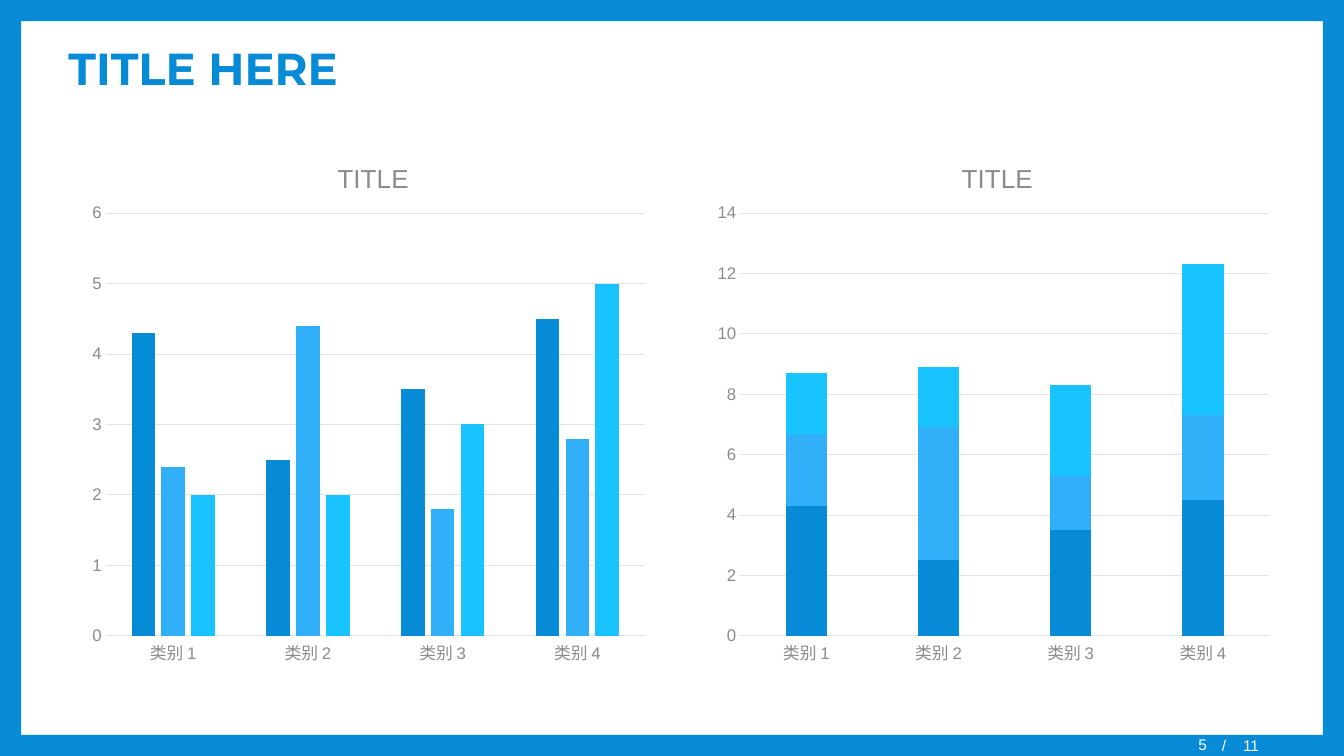
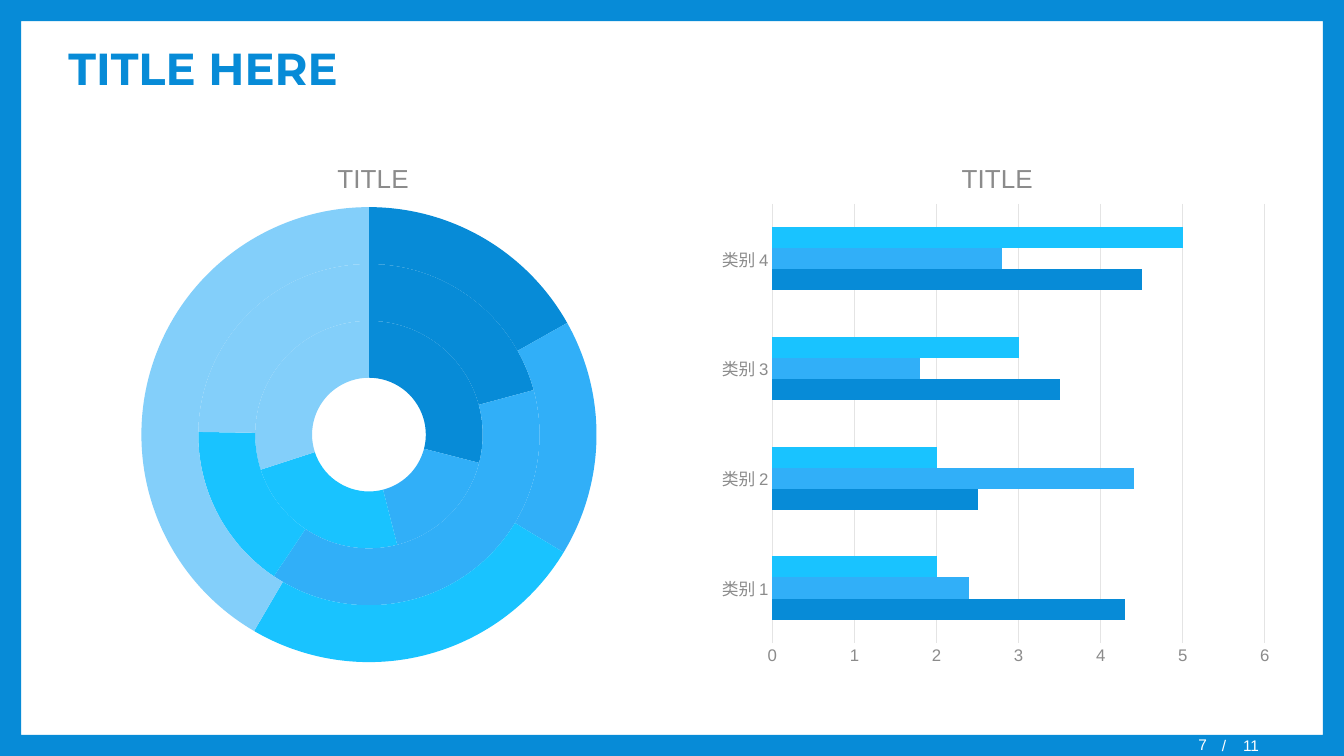
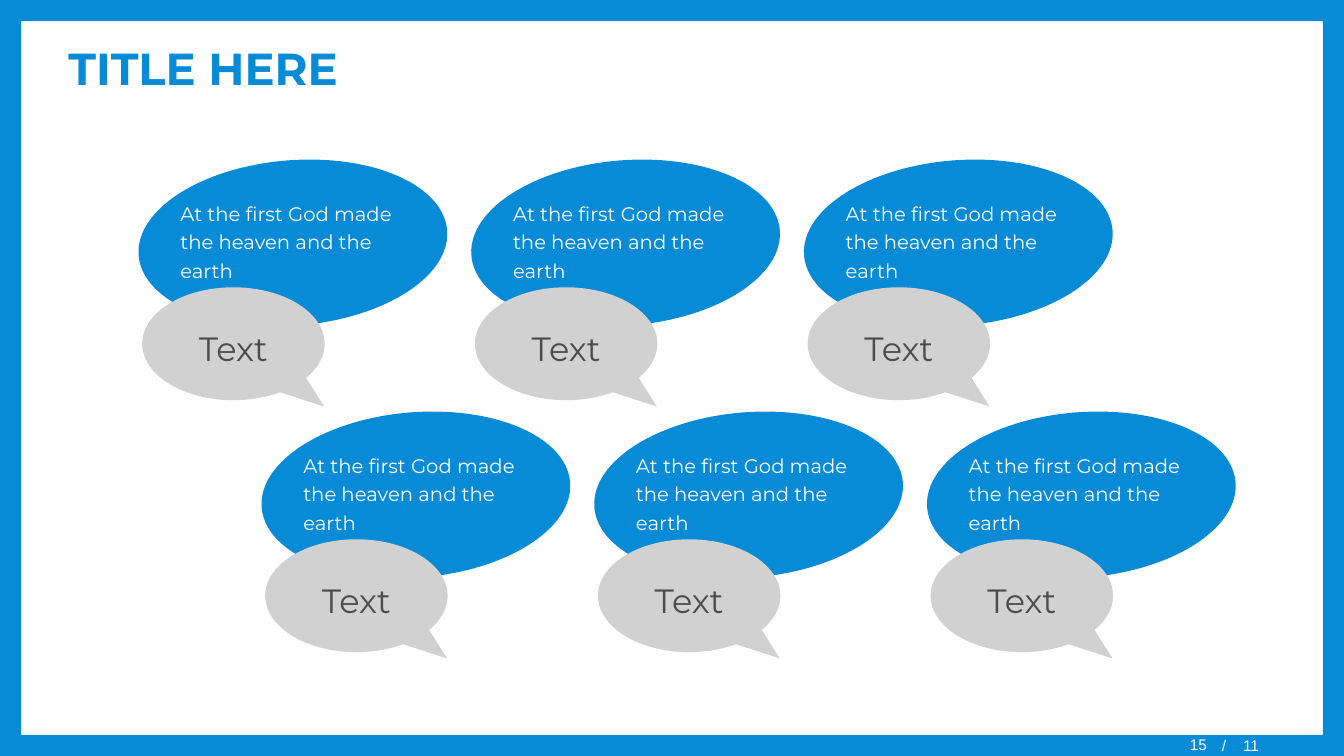
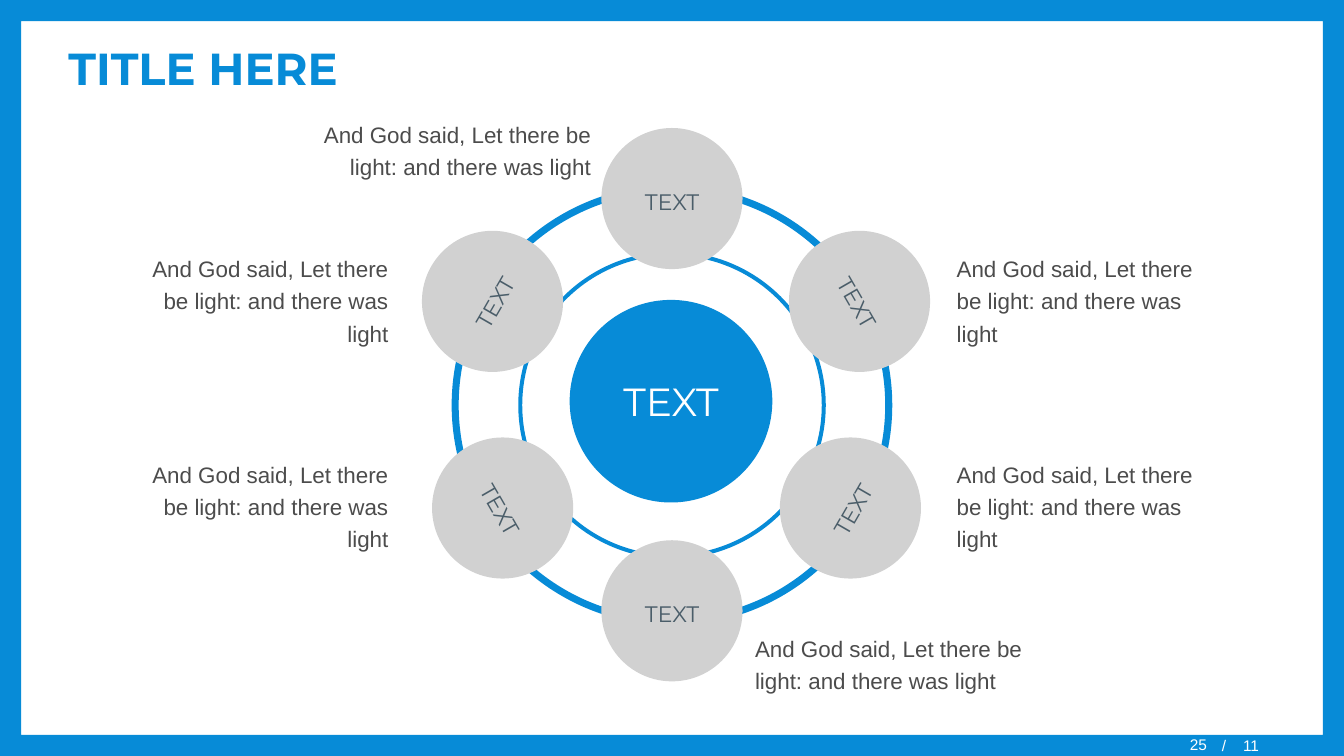
from dataclasses import dataclass

from pptx import Presentation
from pptx import util as u
from pptx.chart import data as chart_data
from pptx.dml.color import RGBColor
from pptx.enum import chart as ec
from pptx.enum import shapes, text
from pptx.oxml import parse_xml
from pptx.oxml.ns import nsdecls, qn


@dataclass(frozen=True)
class Theme:
    blue: str = "078BD7"
    sky: str = "31AFF8"
    cyan: str = "19C3FF"
    pale: str = "83CFFA"
    silver: str = "D1D1D1"
    ink: str = "4C4C4C"
    slate: str = "4A5D69"
    axis: str = "8B8B8B"
    grid: str = "E4E4E4"
    white: str = "FFFFFF"
    head: str = "Montserrat"
    body: str = "Arial"
    heading: float = 32
    hub: float = 28
    callout: float = 24
    chart_title: float = 18.6
    note: float = 16
    bubble: float = 14
    axis_label: float = 12
    footer: float = 11


T = Theme()
W, H = 13.33, 7.5
MID = W / 2
PALETTE = [T.blue, T.sky, T.cyan, T.pale]

HEADING = "TITLE HERE"
PAGE_TOTAL = "11"
CHART_TITLE = "TITLE"
CATEGORIES = ["类别 1", "类别 2", "类别 3", "类别 4"]
SCORES = [("Series 1", (4.3, 2.5, 3.5, 4.5)),
          ("Series 2", (2.4, 4.4, 1.8, 2.8)),
          ("Series 3", (2, 2, 3, 5))]
SHARES = [("Series 1", (29, 17, 24, 30)),
          ("Series 2", (21, 39, 16, 25)),
          ("Series 3", (17, 17, 25, 42))]
KIND = ec.XL_CHART_TYPE
CHART_PAGES = [
    ("5", [
        dict(kind=KIND.COLUMN_CLUSTERED, cats=CATEGORIES, rows=SCORES,
             plot=(0.042, 0.149, 0.938, 0.777),
             bars=dict(gap_width=219, overlap=-27), top=6, step=1),
        dict(kind=KIND.COLUMN_STACKED, cats=CATEGORIES, rows=SCORES,
             plot=(0.06, 0.149, 0.92, 0.777),
             bars=dict(gap_width=219, overlap=100), top=14, step=2)]),
    ("7", [
        dict(kind=KIND.DOUGHNUT, cats=["1", "2", "3", "4"], rows=SHARES,
             plot=(0.103, 0.138, 0.794, 0.836)),
        dict(kind=KIND.BAR_CLUSTERED, cats=CATEGORIES, rows=SCORES,
             plot=(0.116, 0.132, 0.857, 0.807),
             bars=dict(gap_width=219, overlap=0), top=6, step=1)]),
]
BUBBLE_PAGE, RING_PAGE = "15", "25"
VERSE = "At the first God made the heaven and the earth"
BUBBLE_LABEL = "Text"
NOTE = "And God said, Let there be light: and there was light"
RING_LABEL = "TEXT"
RINGS = [(4.37, 0.016), (3.05, 0.013)]
SATELLITES = [(0, 1.97, 0), (0, 6.06, 0),
              (1.86, 2.99, 60), (-1.68, 5.04, 60),
              (-1.78, 2.99, 300), (1.77, 5.04, 300)]
NOTES = [(2.65, 1.1, 3.31, 0.75, "RIGHT"), (7.39, 6.2, 3.31, 0.75, "LEFT"),
         (9.39, 2.43, 2.69, 1.07, "LEFT"), (9.39, 4.47, 2.69, 1.07, "LEFT"),
         (1.26, 2.43, 2.69, 1.07, "RIGHT"), (1.26, 4.47, 2.69, 1.07, "RIGHT")]

SPACED = dict(line_spacing=1.2, space_before=u.Pt(2), space_after=u.Pt(2))


def apply(target, values):
    for name, value in values.items():
        setattr(target, name, value)


def inches(*lengths):
    return [u.Inches(length) for length in lengths]


def style_font(font, size, color, face=T.body, bold=False):
    apply(font, dict(size=u.Pt(size), name=face, bold=bold))
    font.color.rgb = RGBColor.from_string(color)


def write(holder, words, size, color, face=T.body, bold=False, align="LEFT",
          anchor="MIDDLE", paragraph=None, frame=None):
    body = holder.text_frame
    apply(body, dict(word_wrap=True,
                     vertical_anchor=getattr(text.MSO_ANCHOR, anchor),
                     **(frame or {})))
    line = body.paragraphs[0]
    apply(line, dict(alignment=getattr(text.PP_ALIGN, align),
                     **(paragraph or {})))
    run = line.add_run()
    run.text = words
    style_font(run.font, size, color, face, bold)
    return line


def add_text(slide, box, words, size, color, **options):
    holder = slide.shapes.add_textbox(*inches(*box))
    return write(holder, words, size, color, **options)


def add_passage(slide, box, words, size, color, **options):
    grow = dict(auto_size=text.MSO_AUTO_SIZE.SHAPE_TO_FIT_TEXT)
    add_text(slide, box, words, size, color, anchor="TOP", paragraph=SPACED,
             frame=grow, **options)


def add_figure(slide, preset, box, color, adjust=(), turn=0):
    figure = slide.shapes.add_shape(getattr(shapes.MSO_SHAPE, preset),
                                    *inches(*box))
    figure.shadow.inherit = False
    figure.fill.solid()
    figure.fill.fore_color.rgb = RGBColor.from_string(color)
    figure.line.fill.background()
    figure.rotation = turn
    for index, value in enumerate(adjust):
        figure.adjustments[index] = value
    return figure


def centred(x, y, size):
    return x - size / 2, y - size / 2, size, size


def new_slide(page):
    slide = deck.slides.add_slide(deck.slide_layouts[6])
    add_figure(slide, "FRAME", (0, 0, W, H), T.blue, [0.028])
    add_text(slide, (0.58, 0.28, 12.18, 0.79), HEADING, T.heading, T.blue,
             face=T.head, bold=True)
    total = add_text(slide, (12.02, 7.3, 1.31, 0.18), "/\t" + PAGE_TOTAL,
                     T.footer, T.white)
    total._p.get_or_add_pPr().append(parse_xml(
        f'<a:tabLst {nsdecls("a")}><a:tab pos="{u.Inches(0.21)}" algn="l"/>'
        '</a:tabLst>'))
    add_text(slide, (9.48, 7.32, 2.59, 0.18), page, T.footer, T.white,
             align="RIGHT",
             frame=dict(margin_top=0, margin_bottom=u.Inches(0.05)))
    return slide


def set_layout(parent, index, target="", **shares):
    for old in parent.findall(qn("c:layout")):
        parent.remove(old)
    modes = "".join(f'<c:{key}Mode val="edge"/>' for key in "xy")
    values = "".join(f'<c:{key} val="{value}"/>'
                     for key, value in shares.items())
    parent.insert(index, parse_xml(
        f'<c:layout {nsdecls("c")}><c:manualLayout>{target}{modes}{values}'
        '</c:manualLayout></c:layout>'))


def style_line(line, color):
    line.width = u.Pt(0.75)
    line.color.rgb = RGBColor.from_string(color)


def style_axes(chart, top, step):
    category, value = chart.category_axis, chart.value_axis
    for axis in (category, value):
        apply(axis, dict(major_tick_mark=ec.XL_TICK_MARK.NONE,
                         minor_tick_mark=ec.XL_TICK_MARK.NONE))
        style_font(axis.tick_labels.font, T.axis_label, T.axis)
    category.has_major_gridlines = False
    style_line(category.format.line, T.grid)
    apply(value, dict(minimum_scale=0, maximum_scale=top, major_unit=step,
                      has_major_gridlines=True))
    style_line(value.major_gridlines.format.line, T.grid)
    value.format.line.fill.background()


def add_panel(slide, column, kind, cats, rows, plot, bars=None, top=0, step=0):
    figures = chart_data.CategoryChartData()
    figures.categories = cats
    for name, values in rows:
        figures.add_series(name, values)
    box = inches(0.81 + column * 6.19, 1.31, 5.7, 5.4)
    chart = slide.shapes.add_chart(kind, *box, figures).chart
    apply(chart, dict(has_legend=False, has_title=True))
    style_font(chart.font, 10, T.ink)
    caption = chart.chart_title
    heading = caption.text_frame.paragraphs[0].add_run()
    heading.text = CHART_TITLE
    style_font(heading.font, T.chart_title, T.axis)
    caption.include_in_layout = False
    set_layout(caption.element, 1, x=0.437, y=0.045)
    set_layout(chart.element.find(".//" + qn("c:plotArea")), 0,
               '<c:layoutTarget val="inner"/>', **dict(zip("xywh", plot)))
    group = chart.plots[0]
    group.vary_by_categories = bars is None
    for series, color in zip(group.series, PALETTE):
        parts = [series]
        if bars is None:
            parts = [series.points[i] for i in range(len(cats))]
        for part, shade in zip(parts, [color] if bars else PALETTE):
            part.format.fill.solid()
            part.format.fill.fore_color.rgb = RGBColor.from_string(shade)
    if bars:
        apply(group, bars)
        style_axes(chart, top, step)


def add_bubble(slide, x, y):
    add_figure(slide, "OVAL", (x, y, 3.07, 1.64), T.blue, turn=355.3)
    label = add_figure(slide, "OVAL_CALLOUT", (x + 0.04, y + 1.26, 1.81, 1.12),
                       T.silver, [0.497, 0.556])
    write(label, BUBBLE_LABEL, T.callout, T.ink, face=T.head, align="CENTER",
          paragraph=SPACED)
    add_passage(slide, (x + 0.32, y + 0.32, 2.56, 0.95), VERSE, T.bubble,
                T.white, face=T.head)


deck = Presentation()
apply(deck, dict(slide_width=u.Inches(W), slide_height=u.Inches(H)))

for page, panels in CHART_PAGES:
    chart_slide = new_slide(page)
    for column, panel in enumerate(panels):
        add_panel(chart_slide, column, **panel)

bubble_slide = new_slide(BUBBLE_PAGE)
for column in range(3):
    for row in range(2):
        add_bubble(bubble_slide, 1.37 + 3.3 * column + 1.22 * row,
                   1.59 + 2.5 * row)

ring_slide = new_slide(RING_PAGE)
for size, thickness in RINGS:
    add_figure(ring_slide, "DONUT", centred(MID, 4.02, size), T.blue,
               [thickness])
for offset, y, turn in SATELLITES:
    satellite = add_figure(ring_slide, "OVAL", centred(MID + offset, y, 1.4),
                           T.silver, turn=turn)
    write(satellite, RING_LABEL, T.note, T.slate, face=T.head, align="CENTER",
          paragraph=SPACED)
hub = add_figure(ring_slide, "OVAL", centred(MID - 0.01, 3.98, 2.01), T.blue)
write(hub, RING_LABEL, T.hub, T.white, face=T.head, align="CENTER")
for *box, side in NOTES:
    add_passage(ring_slide, box, NOTE, T.note, T.ink, align=side)

deck.save("out.pptx")
